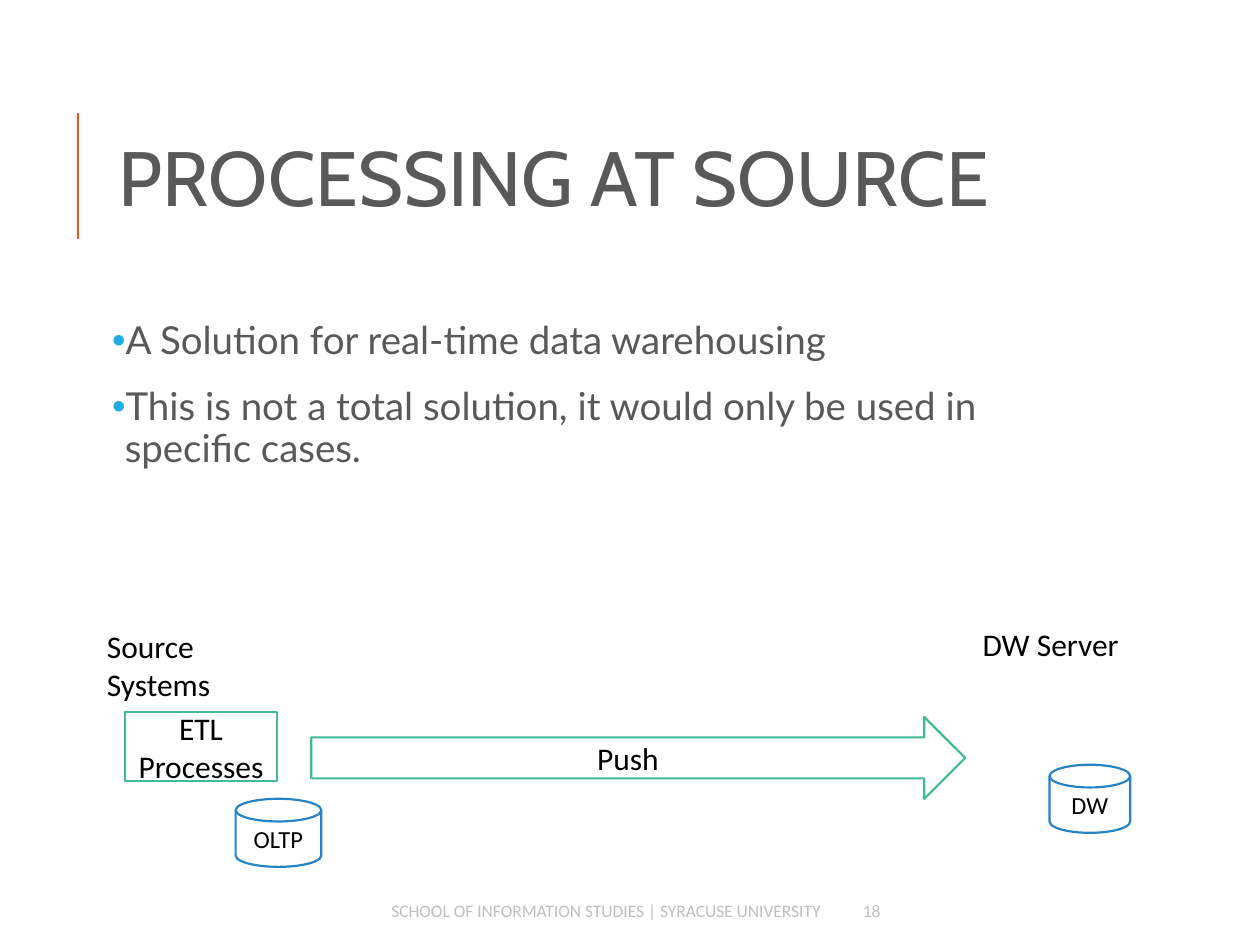
from dataclasses import dataclass

from lxml.etree import SubElement
from pptx import Presentation
from pptx.dml.color import RGBColor
from pptx.enum.shapes import MSO_CONNECTOR, MSO_SHAPE
from pptx.enum.text import MSO_ANCHOR, MSO_AUTO_SIZE, PP_ALIGN
from pptx.oxml.ns import qn
from pptx.util import Inches, Pt

WHITE = RGBColor(0xFF, 0xFF, 0xFF)
BLACK = RGBColor(0x00, 0x00, 0x00)
GRAY = RGBColor(0x59, 0x59, 0x59)
PALE_GRAY = RGBColor(0xBF, 0xBF, 0xBF)
ORANGE = RGBColor(0xEE, 0x56, 0x12)
GREEN = RGBColor(0x42, 0xBA, 0x97)
BLUE = RGBColor(0x26, 0x83, 0xC6)
BULLET_BLUE = RGBColor(0x1C, 0xAD, 0xE4)

# The slide is a grid of 100 columns by 75 rows
WIDTH, HEIGHT = Inches(10), Inches(7.5)
COL, ROW = WIDTH // 100, HEIGHT // 75


@dataclass
class Box:
    """A region in grid columns and rows."""
    x: float
    y: float
    w: float
    h: float

    def inner(self, x, y, w, h):
        return Box(self.x + x, self.y + y, w, h)

    def lengths(self):
        return (round(self.x * COL), round(self.y * ROW),
                round(self.w * COL), round(self.h * ROW))


def move(placeholder, box):
    (placeholder.left, placeholder.top,
     placeholder.width, placeholder.height) = box.lengths()


def add_run(paragraph, text, size, color, font="Calibri"):
    run = paragraph.add_run()
    run.text = text
    run.font.size = Pt(size)
    run.font.name = font
    run.font.color.rgb = color


def add_label(slide, box, text, size=18, color=BLACK,
              align=PP_ALIGN.LEFT, anchor=MSO_ANCHOR.TOP):
    frame = slide.shapes.add_textbox(*box.lengths()).text_frame
    frame.word_wrap = True
    frame.vertical_anchor = anchor
    paragraph = frame.paragraphs[0]
    paragraph.alignment = align
    add_run(paragraph, text, size, color)


def add_node(slide, kind, box, text, size, outline):
    node = slide.shapes.add_shape(kind, *box.lengths())
    node.shadow.inherit = False
    node.fill.solid()
    node.fill.fore_color.rgb = WHITE
    node.line.color.rgb = outline
    node.line.width = Pt(1.25)
    frame = node.text_frame
    frame.word_wrap = True
    frame.vertical_anchor = MSO_ANCHOR.MIDDLE
    paragraph = frame.paragraphs[0]
    paragraph.alignment = PP_ALIGN.CENTER
    add_run(paragraph, text, size, BLACK)


def add_bullet(paragraph):
    properties = paragraph._p.get_or_add_pPr()
    properties.set("marL", str(Inches(0.1)))
    properties.set("indent", str(-Inches(0.1)))
    color = SubElement(properties, qn("a:buClr"))
    SubElement(color, qn("a:srgbClr")).set("val", str(BULLET_BLUE))
    SubElement(properties, qn("a:buFont")).set("typeface", "Arial")
    SubElement(properties, qn("a:buChar")).set("char", "•")


def build_heading(slide, box):
    # Accent rule left of the title
    left, top, _, height = box.inner(0, 2.6, 0, 10).lengths()
    rule = slide.shapes.add_connector(
        MSO_CONNECTOR.STRAIGHT, left, top + height, left, top)
    rule.line.color.rgb = ORANGE
    rule.line.width = Pt(1.5)
    SubElement(rule._element.spPr, qn("a:effectLst"))

    title = slide.shapes.title
    move(title, box.inner(2.2, 0, box.w - 2.2, box.h))
    frame = title.text_frame
    frame.auto_size = MSO_AUTO_SIZE.NONE
    frame.vertical_anchor = MSO_ANCHOR.MIDDLE
    paragraph = frame.paragraphs[0]
    paragraph.alignment = PP_ALIGN.LEFT
    paragraph.line_spacing = 0.8
    add_run(paragraph, "PROCESSING AT SOURCE", 44, GRAY, "Cabin")


def build_points(slide, box):
    body = slide.placeholders[1]
    move(body, box)
    frame = body.text_frame
    frame.auto_size = MSO_AUTO_SIZE.NONE
    frame.margin_left = frame.margin_right = Inches(0.05)
    frame.margin_top = frame.margin_bottom = Inches(0.05)
    points = (
        "A Solution for real-time data warehousing",
        "This is not a total solution, it would only be used in specific cases.",
    )
    for index, point in enumerate(points):
        paragraph = frame.add_paragraph() if index else frame.paragraphs[0]
        add_bullet(paragraph)
        paragraph.line_spacing = 0.9
        paragraph.space_before = Pt(12 if index else 0)
        paragraph.space_after = Pt(2)
        add_run(paragraph, point, 22, GRAY, "Lato")


def build_flow(slide, box):
    # Databases
    disk = MSO_SHAPE.FLOWCHART_MAGNETIC_DISK
    add_node(slide, disk, box.inner(75.8, 11.6, 6.4, 5.4), "DW", 14, BLUE)
    add_node(slide, disk, box.inner(11.2, 14.3, 6.8, 5.4), "OLTP", 14, BLUE)
    # Push from the source processes to the server
    add_node(slide, MSO_SHAPE.RIGHT_ARROW, box.inner(17.2, 7.8, 51.9, 6.5),
             "Push", 18, GREEN)
    add_node(slide, MSO_SHAPE.RECTANGLE, box.inner(2.4, 7.4, 12.1, 5.5),
             "ETL Processes", 18, GREEN)
    # System names
    add_label(slide, box.inner(0, 0.2, 17.3, 4), "Source Systems")
    add_label(slide, box.inner(69.5, 0, 13.3, 4), "DW Server")


def build_footer(slide, box):
    add_label(slide, box.inner(0, 0, 47.2, box.h),
              "SCHOOL OF INFORMATION STUDIES | SYRACUSE UNIVERSITY",
              10, PALE_GRAY, PP_ALIGN.RIGHT, MSO_ANCHOR.MIDDLE)
    add_label(slide, box.inner(48.6, 0, 9.1, box.h), "18",
              10, PALE_GRAY, anchor=MSO_ANCHOR.MIDDLE)


def main():
    deck = Presentation()
    deck.slide_width, deck.slide_height = WIDTH, HEIGHT
    slide = deck.slides.add_slide(deck.slide_layouts[1])
    slide.background.fill.solid()
    slide.background.fill.fore_color.rgb = WHITE
    build_heading(slide, Box(6.2, 6.4, 81.9, 16.4))
    build_points(slide, Box(8.4, 25, 79.7, 44))
    build_footer(slide, Box(18.9, 70.8, 57.7, 3))
    build_flow(slide, Box(7.5, 49.1, 82.8, 19.7))
    deck.save("out.pptx")


if __name__ == "__main__":
    main()
